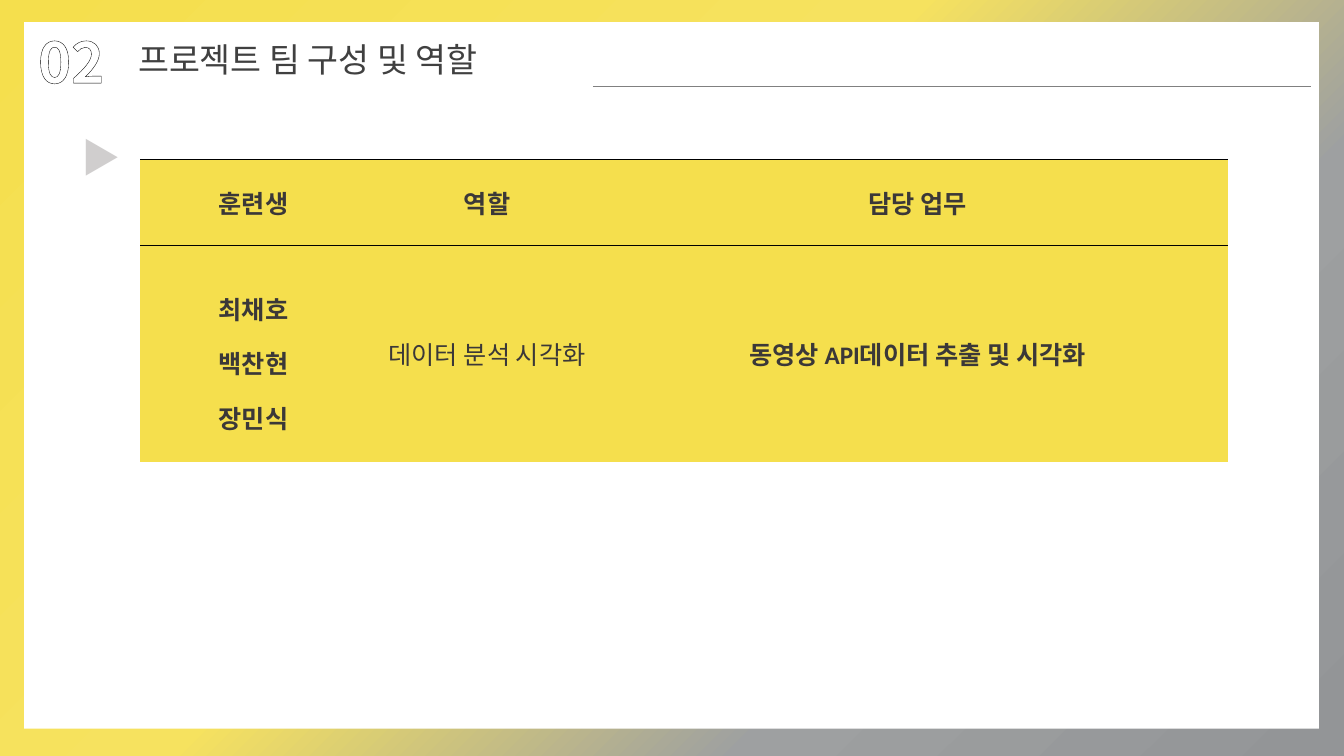
from pptx import Presentation
from pptx.dml.color import RGBColor
from pptx.enum.dml import MSO_PATTERN
from pptx.enum.shapes import MSO_CONNECTOR, MSO_SHAPE
from pptx.enum.text import MSO_ANCHOR, MSO_AUTO_SIZE, PP_ALIGN
from pptx.oxml import parse_xml
from pptx.oxml.ns import nsdecls, qn
from pptx.util import Inches, Pt

WHITE = RGBColor(0xFF, 0xFF, 0xFF)
BLACK = RGBColor(0, 0, 0)
YELLOW = RGBColor(0xF5, 0xDF, 0x4D)
DARK = RGBColor(0x3B, 0x38, 0x38)
TEXT = RGBColor(0x40, 0x40, 0x40)
RULE = RGBColor(0x80, 0x80, 0x80)
GRAY = RGBColor(0x93, 0x95, 0x97)
PALE = RGBColor(0xD0, 0xCE, 0xCE)
KOREAN = "Noto Sans CJK KR"

TITLE = "프로젝트 팀 구성 및 역할"
STOPS = [(0, YELLOW, 100), (44, RGBColor(0xF6, 0xE2, 0x5F), 70),
         (71, RGBColor(0x9E, 0xA0, 0xA1), 70), (100, GRAY, 100)]
MARKS = [
    ("02", (0.28, 0.22, 1.27, 0.77), 40, DARK, WHITE, BLACK, 1.25),
    ("▶", (0.71, 1.27, 0.55, 0.57), 28, GRAY, PALE, GRAY, 1),
]
TABLE = [
    ["훈련생", "역할", "담당 업무"],
    ["최채호\n백찬현\n장민식", "데이터 분석 시각화", "동영상 API데이터 추출 및 시각화"],
]
COLS = [2.25, 2.38, 6.16]
ROWS = [0.86, 2.14]
PLAIN = "데이터 분석 시각화"


def put(obj, **values):
    """Set each named value on the object."""
    for name, value in values.items():
        setattr(obj, name, value)


def style(run, face, **values):
    """Format a run and give Hangul its font."""
    put(run.font, name=face, **values)
    east = parse_xml(f'<a:ea {nsdecls("a")} typeface="{KOREAN}"/>')
    run.font._element.find(qn("a:latin")).addnext(east)


def edge(tag, color=None, width=0.75):
    """Return a line element, empty when it has no color."""
    fill = "<a:noFill/>"
    if color is not None:
        fill = f'<a:solidFill><a:srgbClr val="{color}"/></a:solidFill>'
    return parse_xml(f'<a:{tag} {nsdecls("a")} w="{Pt(width)}">{fill}</a:{tag}>')


def paint(slide):
    """Fill the background with the diagonal gradient."""
    fill = slide.background.fill
    fill.gradient()
    stops = "".join(
        f'<a:gs pos="{pos * 1000}"><a:srgbClr val="{color}">'
        f'<a:alpha val="{alpha * 1000}"/></a:srgbClr></a:gs>'
        for pos, color, alpha in STOPS)
    grad = slide._element.find(".//" + qn("a:gradFill"))
    new = parse_xml(f'<a:gradFill {nsdecls("a")} rotWithShape="1"><a:gsLst>{stops}'
                    '</a:gsLst><a:lin ang="2700000" scaled="0"/></a:gradFill>')
    grad.getparent().replace(grad, new)


def panel(slide):
    """Add the white panel behind the content."""
    box = slide.shapes.add_shape(
        MSO_SHAPE.RECTANGLE, *map(Inches, (0.24, 0.22, 12.84, 7.01)))
    box.shadow.inherit = False
    box.fill.solid()
    box.fill.fore_color.rgb = WHITE
    box.line.fill.background()
    slide.shapes._spTree.insert(2, box._element)


def head(slide):
    """Fill the title and draw the rule beside it."""
    title = slide.shapes.title
    put(title, left=Inches(1.27), top=Inches(0.34),
        width=Inches(4.24), height=Inches(0.5))
    put(title.text_frame, text=TITLE, word_wrap=False,
        vertical_anchor=MSO_ANCHOR.TOP, auto_size=MSO_AUTO_SIZE.SHAPE_TO_FIT_TEXT)
    line = title.text_frame.paragraphs[0]
    line.alignment = PP_ALIGN.LEFT
    style(line.runs[0], KOREAN, size=Pt(24))
    line.runs[0].font.color.rgb = TEXT
    rule = slide.shapes.add_connector(
        MSO_CONNECTOR.STRAIGHT, *map(Inches, (5.88, 0.86, 13, 0.86)))
    rule.line.color.rgb = RULE
    rule.line.width = Pt(1)
    rule._element.spPr.append(parse_xml(f'<a:effectLst {nsdecls("a")}/>'))


def mark(slide, text, place, size, fore, back, color, width):
    """Add a patterned and outlined sign."""
    box = slide.shapes.add_textbox(*map(Inches, place))
    put(box.text_frame, text=text, word_wrap=True,
        auto_size=MSO_AUTO_SIZE.SHAPE_TO_FIT_TEXT)
    run = box.text_frame.paragraphs[0].runs[0]
    style(run, KOREAN, size=Pt(size), bold=True)
    fill = run.font.fill
    fill.patterned()
    fill.pattern = MSO_PATTERN.DARK_UPWARD_DIAGONAL
    fill.fore_color.rgb = fore
    fill.back_color.rgb = back
    run.font._element.insert(0, edge("ln", color, width))


def grid(slide):
    """Add the table of members, roles and tasks."""
    size = (1.39, 1.58, sum(COLS), sum(ROWS))
    table = slide.shapes.add_table(
        len(ROWS), len(COLS), *map(Inches, size)).table
    put(table, first_row=False, horz_banding=False)
    for col, width in zip(table.columns, COLS):
        col.width = Inches(width)
    for i, (row, height) in enumerate(zip(table.rows, ROWS)):
        row.height = Inches(height)
        edges = {"lnL": None, "lnR": None, "lnT": BLACK,
                 "lnB": BLACK if i == 0 else None}
        for cell, text in zip(row.cells, TABLE[i]):
            put(cell, text=text, vertical_anchor=MSO_ANCHOR.MIDDLE)
            cell.fill.solid()
            cell.fill.fore_color.rgb = YELLOW
            for n, (tag, color) in enumerate(edges.items()):
                cell._tc.tcPr.insert(n, edge(tag, color))
            lines = cell.text_frame.paragraphs
            for line in lines:
                line.alignment = PP_ALIGN.CENTER
                if len(lines) > 1:
                    line.line_spacing = 1.5
                style(line.runs[0], "Calibri", size=Pt(18), bold=text != PLAIN)
                line.runs[0].font.color.rgb = DARK


def main():
    """Build and save the slide."""
    deck = Presentation()
    put(deck, slide_width=Inches(13.33), slide_height=Inches(7.5))
    slide = deck.slides.add_slide(deck.slide_layouts[5])
    paint(slide)
    panel(slide)
    head(slide)
    for item in MARKS:
        mark(slide, *item)
    grid(slide)
    deck.save("out.pptx")


if __name__ == "__main__":
    main()
